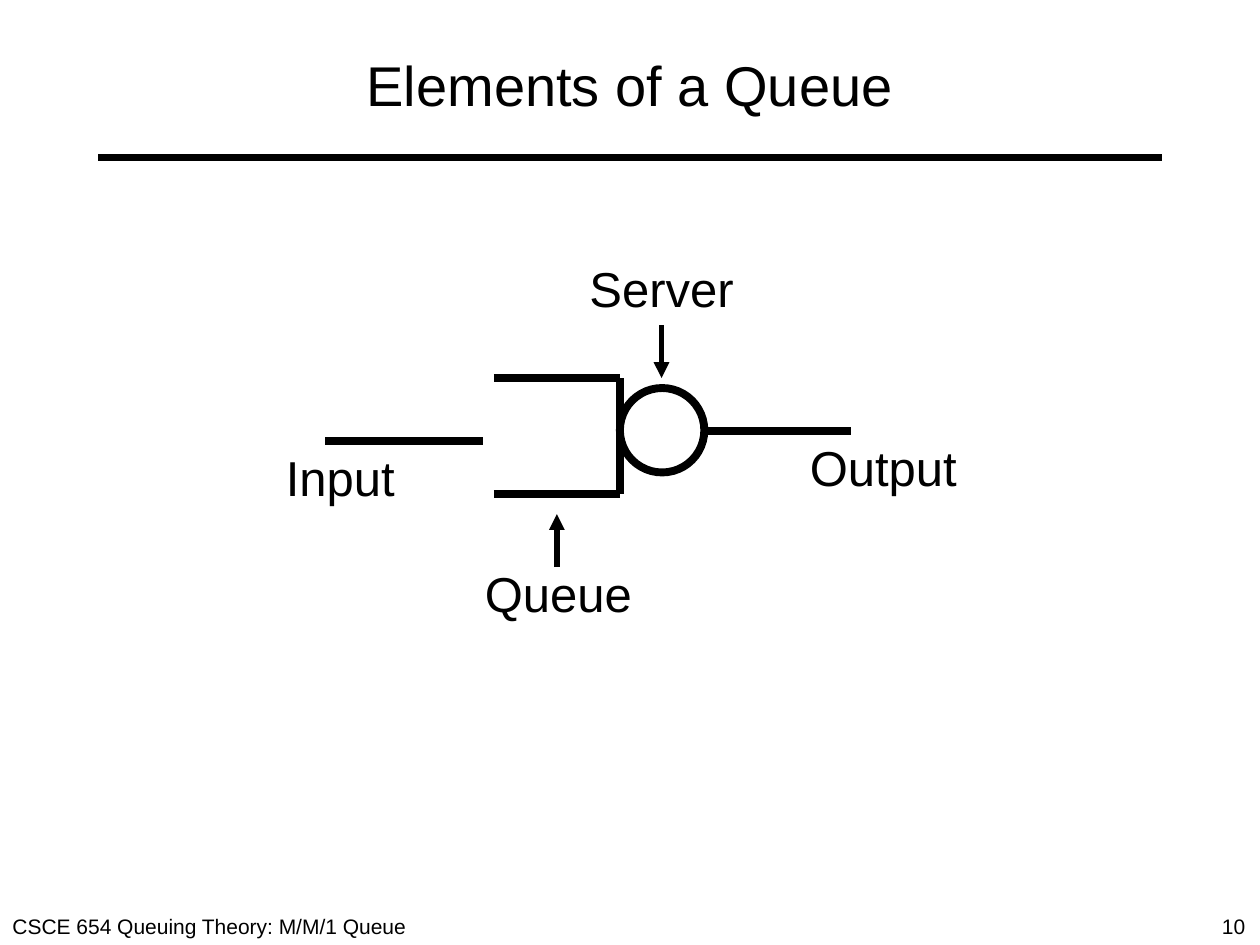
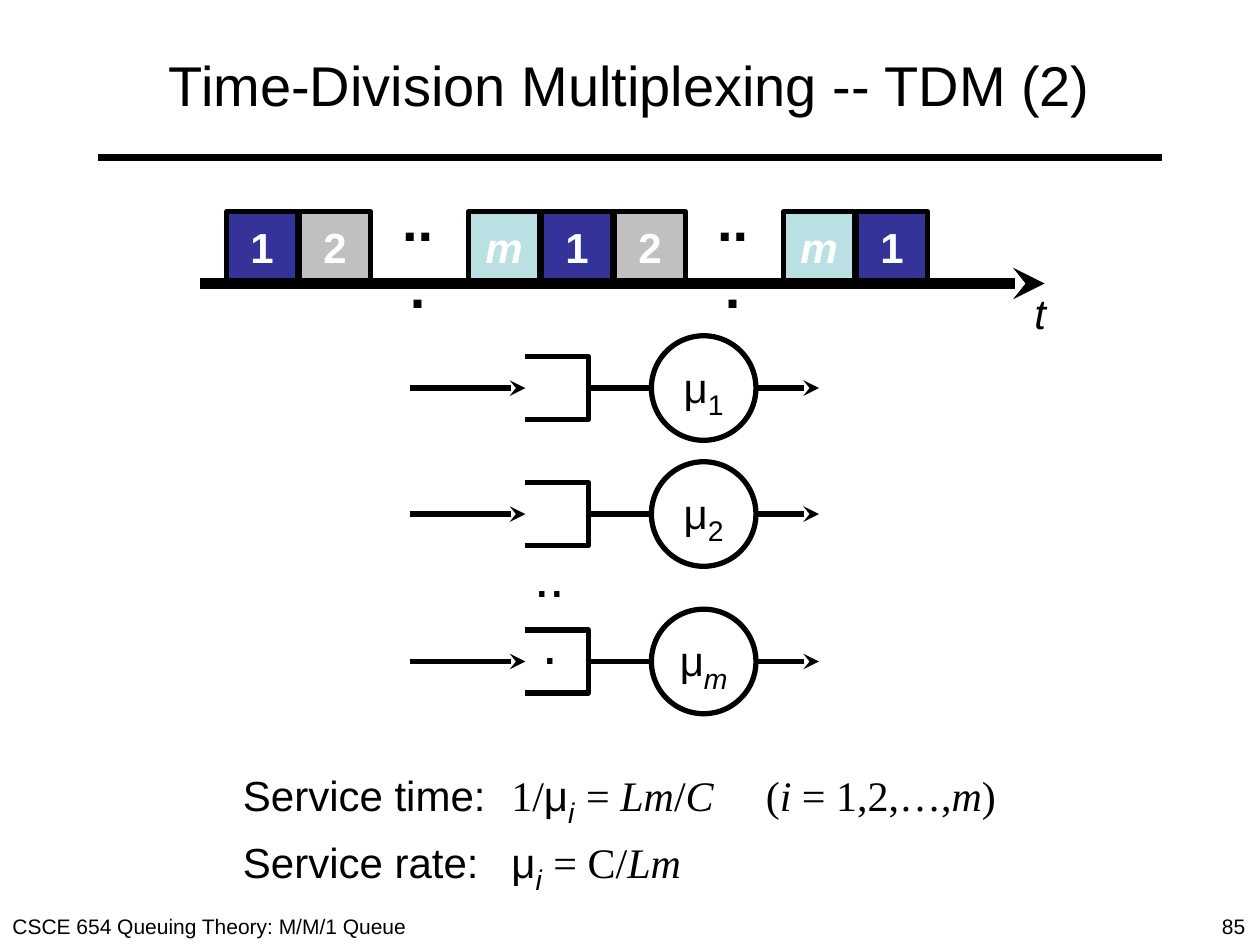
import pptx
import pptx.util
import pptx.dml.color
import pptx.enum.shapes
import pptx.enum.text
import pptx.oxml
import pptx.oxml.ns
from pptx.util import Inches

# Shared style
BLACK = pptx.dml.color.RGBColor(0x00, 0x00, 0x00)
WHITE = pptx.dml.color.RGBColor(0xFF, 0xFF, 0xFF)
NAVY = pptx.dml.color.RGBColor(0x33, 0x33, 0x99)
GREY = pptx.dml.color.RGBColor(0xC0, 0xC0, 0xC0)
PALE_TEAL = pptx.dml.color.RGBColor(0xBB, 0xE0, 0xE3)
SANS, SERIF = "Arial", "Times New Roman"
FOOTER = "CSCE 654 Queuing Theory: M/M/1 Queue"
MSO_SHAPE = pptx.enum.shapes.MSO_SHAPE
ALIGN = pptx.enum.text.PP_ALIGN
MIDDLE = pptx.enum.text.MSO_ANCHOR.MIDDLE

# Queue elements: lines as (start, end), labels as (text, left, top, width)
QUEUE_TITLE, QUEUE_PAGE = "Elements of a Queue", 10
QUEUE_LINES = [
    ((2.58, 3.5), (3.83, 3.5)),    # input
    ((3.92, 3), (4.92, 3)),        # queue top
    ((4.92, 3), (4.92, 3.92)),     # queue end
    ((3.92, 3.92), (4.92, 3.92)),  # queue bottom
    ((5.58, 3.42), (6.75, 3.42)),  # output
]
QUEUE_POINTERS = [((4.42, 4.5), (4.42, 4.08)), ((5.25, 2.58), (5.25, 3))]
QUEUE_LABELS = [
    ("Input", 2.17, 3.5, 1.07),
    ("Output", 6.33, 3.42, 1.37),
    ("Queue", 3.75, 4.42, 1.37),
    ("Server", 4.58, 2, 1.35),
]

# Time-division multiplexing: runs are (text, font, marks), i = italic, s = subscript
TDM_TITLE, TDM_PAGE = "Time-Division Multiplexing -- TDM (2)", 85
SLOTS = [("1", 0, NAVY, ""), ("2", 0.58, GREY, ""), ("m", 1.92, PALE_TEAL, "i")]
SLOT_COUNT = 7
FRAME_LEFT, FRAME_PITCH = 1.8, 2.5
CHANNELS = [("1", "s", 3.08), ("2", "s", 4.08), ("m", "is", 5.25)]
FORMULAS = [
    [("Service time:\t", SANS, ""), ("1/", SERIF, ""), ("μ", SANS, ""),
     ("i", SANS, "is"), (" ", SANS, ""), ("= ", SERIF, ""), ("Lm", SERIF, "i"),
     ("/", SERIF, ""), ("C", SERIF, "i"), ("\t(", SERIF, ""), ("i", SERIF, "i"),
     (" = 1,2,…,", SERIF, ""), ("m", SERIF, "i"), (")", SERIF, "")],
    [("Service rate:\tμ", SANS, ""), ("i", SANS, "is"), (" ", SANS, ""),
     ("= C/", SERIF, ""), ("Lm", SERIF, "i")],
]
FORMULA_TABS = (2.13, 4.15)


def format_run(run, size, color=BLACK, font=SANS, bold=False, marks=""):
    run.font.name = font
    run.font.size = pptx.util.Pt(28 if "s" in marks else size)
    run.font.color.rgb = color
    run.font.bold = bold
    run.font.italic = "i" in marks
    if "s" in marks:
        run.font._element.set("baseline", "-25000")


def write_runs(paragraph, runs, size, color=BLACK, bold=False):
    for text, font, marks in runs:
        run = paragraph.add_run()
        run.text = text
        format_run(run, size, color, font, bold, marks)


def add_text(slide, text, left, top, width, height, size,
             align=ALIGN.LEFT, bold=False, marks="", wrap=False):
    box = slide.shapes.add_textbox(Inches(left), Inches(top), Inches(width), Inches(height))
    box.text_frame.word_wrap = wrap
    paragraph = box.text_frame.paragraphs[0]
    paragraph.alignment = align
    write_runs(paragraph, [(text, SANS, marks)], size, bold=bold)


def add_line(slide, start, end, weight, arrow=None):
    line = slide.shapes.add_connector(
        pptx.enum.shapes.MSO_CONNECTOR.STRAIGHT, *(Inches(value) for value in start + end))
    line.line.color.rgb = BLACK
    line.line.width = pptx.util.Pt(weight)
    if arrow:
        tail = pptx.oxml.parse_xml(
            f'<a:tailEnd {pptx.oxml.ns.nsdecls("a")} type="{arrow}"/>')
        line.line._get_or_add_ln().append(tail)
    line._element.spPr.append(
        pptx.oxml.parse_xml(f'<a:effectLst {pptx.oxml.ns.nsdecls("a")}/>'))


def outline(shape, weight, fill=None):
    shape.shadow.inherit = False
    if fill is None:
        shape.fill.background()
    else:
        shape.fill.solid()
        shape.fill.fore_color.rgb = fill
    shape.line.color.rgb = BLACK
    shape.line.width = pptx.util.Pt(weight)


def add_figure(slide, kind, left, top, side, weight, runs=(), fill=None,
               color=BLACK, bold=False):
    shape = slide.shapes.add_shape(
        kind, Inches(left), Inches(top), Inches(side), Inches(side))
    outline(shape, weight, fill)
    shape.text_frame.word_wrap = False
    shape.text_frame.vertical_anchor = MIDDLE
    paragraph = shape.text_frame.paragraphs[0]
    paragraph.alignment = ALIGN.CENTER
    write_runs(paragraph, runs, 24, color, bold)


def add_base_slide(presentation, title_text, page):
    """Slide with title, rule, footer and page number."""
    slide = presentation.slides.add_slide(presentation.slide_layouts[5])
    title = slide.shapes.title
    title.left, title.top = Inches(0.5), Inches(0.17)
    title.width, title.height = Inches(9), Inches(1)
    title.text_frame.text = title_text
    title.text_frame.vertical_anchor = MIDDLE
    paragraph = title.text_frame.paragraphs[0]
    paragraph.alignment = ALIGN.CENTER
    format_run(paragraph.runs[0], 32)
    add_line(slide, (0.78, 1.25), (9.22, 1.25), 4.5)
    add_text(slide, FOOTER, 0, 7.2, 4.08, 0.3, 12, wrap=True)
    add_text(slide, str(page), 9.6, 7.2, 0.4, 0.3, 12)
    return slide


def build_queue_slide(presentation):
    slide = add_base_slide(presentation, QUEUE_TITLE, QUEUE_PAGE)
    for start, end in QUEUE_LINES:
        add_line(slide, start, end, 4.5)
    add_figure(slide, MSO_SHAPE.OVAL, 4.92, 3.08, 0.67, 4.5)
    for start, end in QUEUE_POINTERS:
        add_line(slide, start, end, 3, "triangle")
    for text, left, top, width in QUEUE_LABELS:
        add_text(slide, text, left, top, width, 0.57, 28)


def add_dots(slide, left, top, bold):
    add_text(slide, "...", left, top, 0.55, 0.63, 32, ALIGN.CENTER, bold, wrap=True)


def add_channel(slide, index, marks, middle):
    add_line(slide, (3.25, middle), (4.17, middle), 3, "stealth")
    builder = slide.shapes.build_freeform(Inches(4.17), Inches(middle - 0.25))
    builder.add_line_segments(
        [(Inches(x), Inches(middle + y)) for x, y in
         ((4.67, -0.25), (4.67, 0.25), (4.17, 0.25))], close=False)
    outline(builder.convert_to_shape(), 3)
    add_line(slide, (4.67, middle), (5.17, middle), 3)
    add_figure(slide, MSO_SHAPE.OVAL, 5.17, middle - 0.415, 0.83, 3,
               [("μ", SANS, ""), (index, SANS, marks)])
    add_line(slide, (6, middle), (6.5, middle), 3, "stealth")


def add_formulas(slide):
    box = slide.shapes.add_textbox(Inches(1.83), Inches(6), Inches(6.47), Inches(0.91))
    frame = box.text_frame
    frame.word_wrap = True
    stops = "".join(f'<a:tab pos="{Inches(stop)}" algn="l"/>' for stop in FORMULA_TABS)
    for number, runs in enumerate(FORMULAS):
        paragraph = frame.add_paragraph() if number else frame.paragraphs[0]
        write_runs(paragraph, runs, 24)
        paragraph._p.get_or_add_pPr().append(pptx.oxml.parse_xml(
            f'<a:tabLst {pptx.oxml.ns.nsdecls("a")}>{stops}</a:tabLst>'))


def build_tdm_slide(presentation):
    slide = add_base_slide(presentation, TDM_TITLE, TDM_PAGE)
    # Repeating frames of slots on the time axis
    for number in range(SLOT_COUNT):
        frame, position = divmod(number, len(SLOTS))
        text, offset, fill, marks = SLOTS[position]
        left = FRAME_LEFT + frame * FRAME_PITCH
        add_figure(slide, MSO_SHAPE.RECTANGLE, left + offset, 1.68, 0.56, 3,
                   [(text, SANS, marks)], fill, WHITE, True)
        if marks:
            add_dots(slide, left + 1.24, 1.42, True)
    add_line(slide, (1.59, 2.25), (8.29, 2.25), 6, "stealth")
    add_text(slide, "t", 8.11, 2.23, 0.29, 0.5, 24, ALIGN.CENTER, marks="i")
    # One queue and server per channel
    for index, marks, middle in CHANNELS:
        add_channel(slide, index, marks, middle)
    add_dots(slide, 4.09, 4.25, False)
    add_formulas(slide)


def main():
    presentation = pptx.Presentation()
    presentation.slide_width, presentation.slide_height = Inches(10), Inches(7.5)
    build_queue_slide(presentation)
    build_tdm_slide(presentation)
    presentation.save("out.pptx")


if __name__ == "__main__":
    main()
